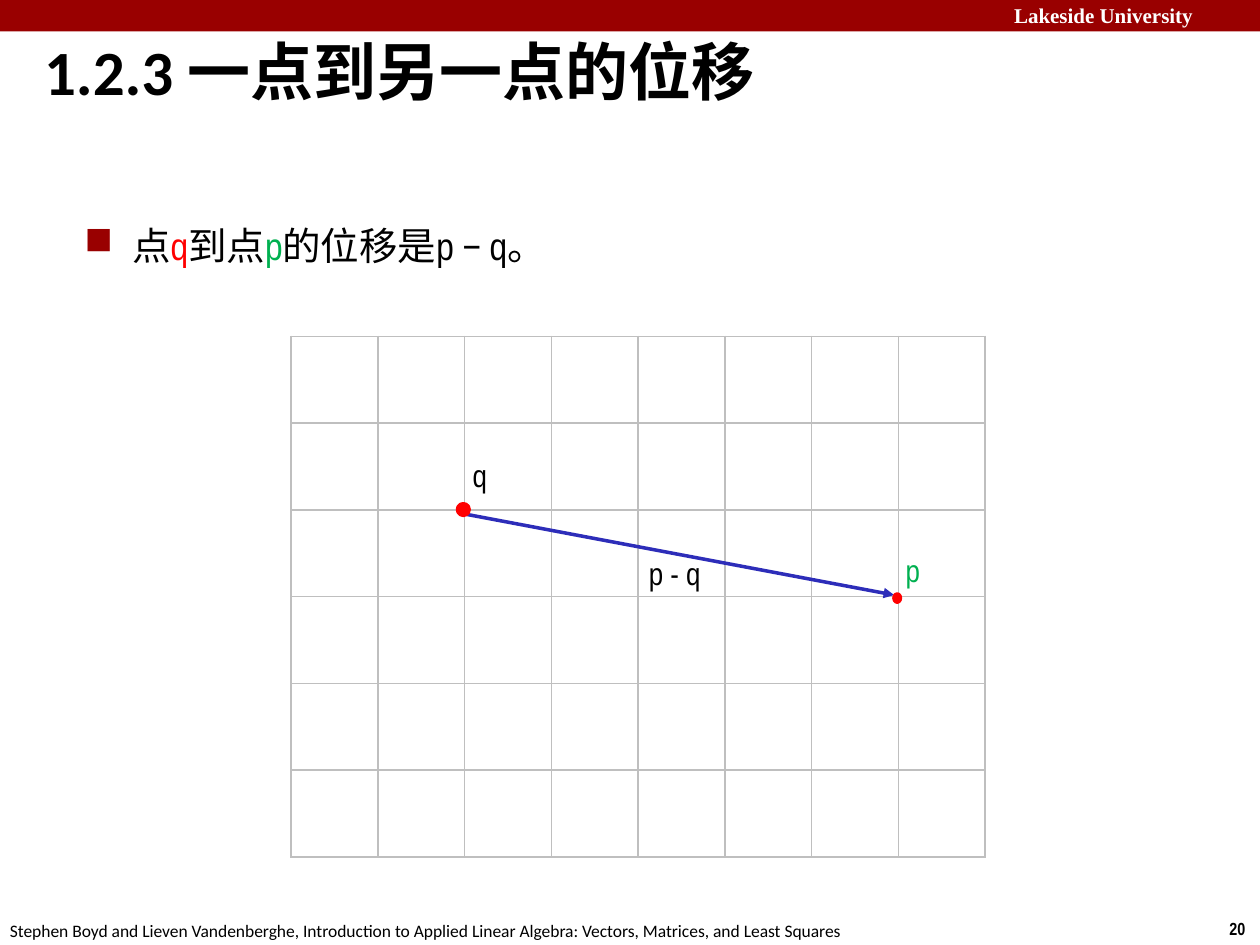
from collections import namedtuple

from lxml import etree
from pptx import Presentation
from pptx import util as u
from pptx.dml.color import RGBColor
from pptx.enum import shapes, text
from pptx.oxml import ns

DARK_RED = RGBColor(0x99, 0x00, 0x00)
RED = RGBColor(0xFF, 0x00, 0x00)
GREEN = RGBColor(0x00, 0xB0, 0x50)
BLUE = RGBColor(0x2D, 0x2D, 0xB9)
GRAY = RGBColor(0xBF, 0xBF, 0xBF)
BLACK = RGBColor(0x00, 0x00, 0x00)
WHITE = RGBColor(0xFF, 0xFF, 0xFF)
NARROW = "Arial Narrow"
COLUMNS, ROWS = 8, 6

Box = namedtuple("Box", "left top width height")


def part(box, left, top, width, height):
    return Box(box.left + left * box.width, box.top + top * box.height,
               width * box.width, height * box.height)


def emu(box):
    return [u.Inches(length) for length in box]


def add_element(parent, tag, **attributes):
    return etree.SubElement(parent, ns.qn(tag), attributes)


def set_font(font, name, size, color, bold=False):
    font.name, font.size, font.bold = name, u.Pt(size), bold
    font.color.rgb = color


def set_hanging(paragraph, inches):
    properties = paragraph._p.get_or_add_pPr()
    properties.set("marL", str(u.Inches(inches)))
    properties.set("indent", str(-u.Inches(inches)))
    return properties


def add_text(slide, box, words, name, size, color, bold=False, wrap=True):
    frame = slide.shapes.add_textbox(*emu(box)).text_frame
    frame.word_wrap = wrap
    paragraph = frame.paragraphs[0]
    paragraph.text = words
    set_font(paragraph.font, name, size, color, bold)


def add_filled(slide, kind, box, color, line_width=None):
    shape = slide.shapes.add_shape(kind, *emu(box))
    shape.shadow.inherit = False
    shape.fill.solid()
    shape.fill.fore_color.rgb = color
    if line_width is None:
        shape.line.fill.background()
    else:
        shape.line.color.rgb = color
        shape.line.width = u.Pt(line_width)


def add_header(slide, box):
    add_filled(slide, shapes.MSO_SHAPE.RECTANGLE, box, DARK_RED)
    add_text(slide, part(box, 0.795, -0.12, 0.21, 1.2), "Lakeside University",
             "Times New Roman", 12, WHITE, bold=True)


def add_footer(slide, box):
    add_text(slide, part(box, 0.966, -0.07, 0.034, 1), "20",
             NARROW, 10, BLACK, bold=True, wrap=False)
    add_text(slide, part(box, -0.002, 0, 0.718, 1),
             "Stephen Boyd and Lieven Vandenberghe, Introduction to Applied Linear "
             "Algebra: Vectors, Matrices, and Least Squares", "Calibri", 10, BLACK)


def fill_title(slide, box):
    title = slide.shapes.title
    title.left, title.top, title.width, title.height = emu(box)
    frame = title.text_frame
    frame.auto_size = text.MSO_AUTO_SIZE.NONE
    frame.vertical_anchor = text.MSO_ANCHOR.MIDDLE
    paragraph = frame.paragraphs[0]
    paragraph.text = "1.2.3 一点到另一点的位移"
    paragraph.alignment = text.PP_ALIGN.LEFT
    set_hanging(paragraph, 0.13)
    set_font(paragraph.font, "Calibri", 36, BLACK, bold=True)


def add_statement(slide, box):
    frame = slide.shapes.add_textbox(*emu(box)).text_frame
    frame.word_wrap = True
    frame.margin_left = frame.margin_right = frame.margin_top = frame.margin_bottom = 0
    paragraph = frame.paragraphs[0]
    paragraph.line_spacing = 1.5
    paragraph.space_before = u.Pt(11)
    properties = set_hanging(paragraph, 0.38)
    bullet_color = add_element(properties, "a:buClr")
    add_element(bullet_color, "a:srgbClr", val=str(DARK_RED))
    add_element(properties, "a:buChar", char="■")
    for words, color in (("点", BLACK), ("q", RED), ("到点", BLACK),
                         ("p", GREEN), ("的位移是p − q。", BLACK)):
        run = paragraph.add_run()
        run.text = words
        set_font(run.font, NARROW, 22, color)


def add_grid(slide, box):
    table = slide.shapes.add_table(ROWS, COLUMNS, *emu(box)).table
    table.first_row = table.horz_banding = False
    for column in table.columns:
        column.width = u.Inches(box.width / COLUMNS)
    for row in table.rows:
        row.height = u.Inches(box.height / ROWS)
    for cell in table.iter_cells():
        properties = cell._tc.get_or_add_tcPr()
        for side in ("a:lnL", "a:lnR", "a:lnT", "a:lnB"):
            border = add_element(properties, side, w=str(u.Pt(1)))
            fill = add_element(border, "a:solidFill")
            add_element(fill, "a:srgbClr", val=str(GRAY))
        cell.fill.background()


def add_arrow(slide, start, end):
    arrow = slide.shapes.add_connector(shapes.MSO_CONNECTOR.STRAIGHT,
                                       *start, *end)
    arrow.line.color.rgb = BLUE
    arrow.line.width = u.Pt(2)
    add_element(arrow.line._get_or_add_ln(), "a:tailEnd", type="triangle")
    add_element(arrow._element.spPr, "a:effectLst")


def add_displacement(slide, box):
    add_grid(slide, box)

    def cells(column, row, width=0, height=0):
        return part(box, column / COLUMNS, row / ROWS,
                    width / COLUMNS, height / ROWS)

    add_arrow(slide, emu(cells(2.02, 2.05))[:2], emu(cells(6.95, 2.98))[:2])
    for column, row, width, height in ((1.92, 1.93, 0.13, 0.13),
                                       (6.95, 2.97, 0.07, 0.09)):
        add_filled(slide, shapes.MSO_SHAPE.OVAL,
                   cells(column, row, width, height), RED, 2.25)
    for words, column, row, width, color in (("p - q", 3.98, 2.44, 0.9, BLACK),
                                             ("q", 1.95, 1.31, 0.46, BLACK),
                                             ("p", 6.94, 2.4, 0.46, GREEN)):
        add_text(slide, cells(column, row, width, 0.58), words,
                 NARROW, 18, color, wrap=False)


def main():
    presentation = Presentation()
    page = Box(0, 0, 10, 7.5)
    presentation.slide_width, presentation.slide_height = emu(page)[2:]
    slide = presentation.slides.add_slide(presentation.slide_layouts[5])
    add_header(slide, part(page, 0, 0, 1, 1 / 30))
    add_footer(slide, part(page, 0, 0.967, 1, 0.036))
    fill_title(slide, part(page, 0.025, 1 / 30, 0.963, 0.083))
    add_displacement(slide, part(page, 0.231, 0.356, 0.551, 0.551))
    add_statement(slide, part(page, 0.067, 0.211, 0.37, 0.075))
    presentation.save("out.pptx")


if __name__ == "__main__":
    main()
